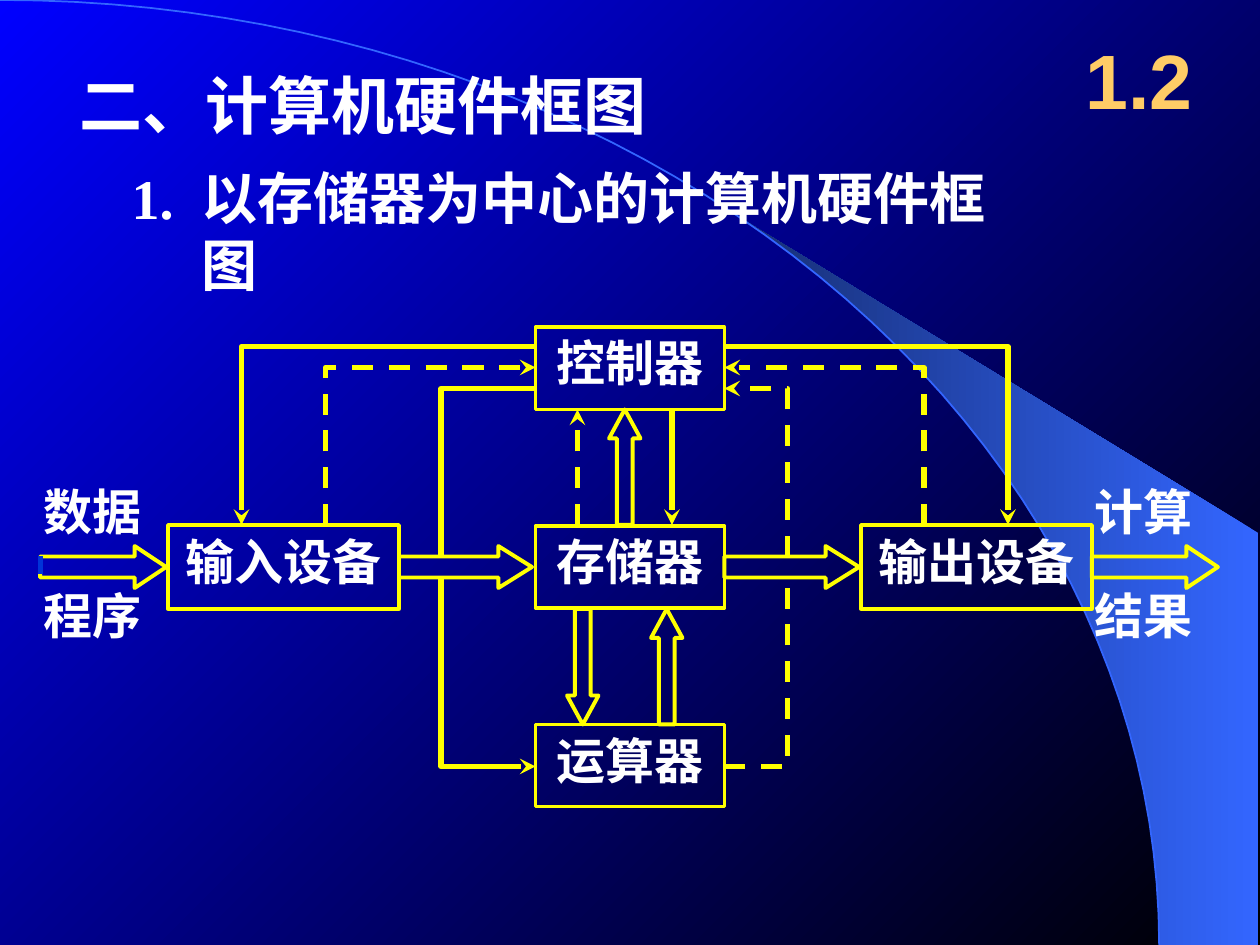
from dataclasses import dataclass
from math import asin, cos, pi, sin

from lxml import etree
from pptx import Presentation
from pptx.dml.color import RGBColor
from pptx.enum import dml, shapes, text
from pptx.oxml import ns
from pptx.util import Pt


@dataclass(frozen=True)
class Theme:
    white: str = "FFFFFF"
    gold: str = "FFCC66"
    wire: str = "FFFF00"
    glow: str = "3366FF"
    glow_dark: str = "172F75"
    tick: str = "0033D8"
    sky_dark: str = "000000"
    sky: str = "0000FF"
    hei: str = "Noto Sans CJK SC"
    serif: str = "Times New Roman"
    sans: str = "Arial"
    title_size: int = 36
    heading_size: int = 32
    label_size: int = 28
    number_size: int = 44


THEME = Theme()
PAGE_WIDTH, PAGE_HEIGHT = 720, 540


def rgb(value):
    return RGBColor.from_string(value)


def write(shape, words, size=THEME.label_size, color=THEME.white, latin=THEME.hei,
          align=text.PP_ALIGN.CENTER, wrap=True, lift=0, hanging=None):
    """Set the one line of text in a shape; lift raises it, hanging is its tab indent."""
    frame = shape.text_frame
    frame.auto_size = text.MSO_AUTO_SIZE.NONE
    frame.word_wrap = wrap
    frame.vertical_anchor = text.MSO_ANCHOR.MIDDLE
    frame.margin_left = frame.margin_right = Pt(7.2)
    frame.margin_top, frame.margin_bottom = Pt(0), Pt(lift)
    para = frame.paragraphs[0]
    para.alignment = align
    para.space_before = Pt(0)
    if hanging:
        props = para._p.get_or_add_pPr()
        props.set("marL", str(Pt(hanging)))
        props.set("indent", str(-Pt(hanging)))
        etree.SubElement(props, ns.qn("a:buNone"))
    span = para.add_run()
    span.text = words
    font = span.font
    font.size, font.bold, font.name = Pt(size), True, latin
    font.color.rgb = rgb(color)
    etree.SubElement(span._r.get_or_add_rPr(), ns.qn("a:ea")).set("typeface", THEME.hei)


def place(shape, left, top, width, height):
    """Position a placeholder and bring it in front of the backdrop."""
    shape.left, shape.top = Pt(left), Pt(top)
    shape.width, shape.height = Pt(width), Pt(height)
    shape.element.getparent().append(shape.element)
    return shape


def add_label(page, left, top, width, height, words, **style):
    box = page.shapes.add_textbox(Pt(left), Pt(top), Pt(width), Pt(height))
    write(box, words, **style)


def add_outline(page, kind, left, top, width, height, weight=2.25):
    shape = page.shapes.add_shape(kind, Pt(left), Pt(top), Pt(width), Pt(height))
    shape.shadow.inherit = False
    shape.fill.background()
    shape.line.color.rgb = rgb(THEME.wire)
    shape.line.width = Pt(weight)
    return shape


def add_block_arrow(page, kind, box, head, rotation=0):
    arrow = add_outline(page, kind, *box)
    arrow.adjustments[0], arrow.adjustments[1] = 0.5, head
    arrow.rotation = rotation


def add_polygon(page, points, close):
    corners = [(Pt(x), Pt(y)) for x, y in points]
    builder = page.shapes.build_freeform(*corners[0], scale=1.0)
    builder.add_line_segments(corners[1:], close=close)
    shape = builder.convert_to_shape()
    shape.shadow.inherit = False
    return shape


def add_wire(page, points, color=THEME.wire, weight=3, dashed=False, arrow=False):
    if len(points) == 2:
        (x1, y1), (x2, y2) = points
        wire = page.shapes.add_connector(
            shapes.MSO_CONNECTOR.STRAIGHT, Pt(x1), Pt(y1), Pt(x2), Pt(y2))
    else:
        wire = add_polygon(page, points, close=False)
        wire.fill.background()
    wire.line.color.rgb = rgb(color)
    wire.line.width = Pt(weight)
    if dashed:
        wire.line.dash_style = dml.MSO_LINE.DASH
    props = wire.element.spPr
    if arrow:
        etree.SubElement(props.find(ns.qn("a:ln")), ns.qn("a:tailEnd")).set("type", "stealth")
    if len(points) == 2:
        etree.SubElement(props, ns.qn("a:effectLst"))


def paint_gradient(fill, start, end, angle):
    fill.gradient()
    fill.gradient_angle = angle
    for stop, color, position in zip(fill.gradient_stops, (start, end), (0, 1)):
        stop.color.rgb = rgb(color)
        stop.position = position


def draw_backdrop(page, width, height):
    """Blue sky, a quarter-ellipse horizon and the lit fan to its right."""
    paint_gradient(page.background.fill, THEME.sky_dark, THEME.sky, 135)
    reach = 662.4

    def horizon(first, steps=48):
        turns = [first + (pi / 2 - first) * i / steps for i in range(steps + 1)]
        return [(reach * sin(t), height * (1 - cos(t))) for t in turns]

    edge = horizon(asin(424 / reach))
    fan = add_polygon(page, edge + [(width - 1, height), (width - 1, 304.6)], close=True)
    paint_gradient(fan.fill, THEME.glow, THEME.glow_dark, 180)
    fan.line.fill.background()
    add_wire(page, horizon(0), color=THEME.glow, weight=1)


def draw_headings(page):
    title, body = page.placeholders
    left = text.PP_ALIGN.LEFT
    write(place(title, 38, 36, 508, 50), "二、计算机硬件框图",
          size=THEME.title_size, align=left, lift=3)
    add_label(page, 606, 12, 90, 66, "1.2", size=THEME.number_size,
              color=THEME.gold, latin=THEME.sans)
    write(place(body, 68, 109, 534, 46), "1.\t以存储器为中心的计算机硬件框图",
          size=THEME.heading_size, latin=THEME.serif, align=left, wrap=False, hanging=40)


def draw_diagram(page, left, top):
    """Memory-centred block diagram; all parts are relative to its corner."""
    def at(x, y, *size):
        return (left + x, top + y, *size)

    row = 113.5
    units = [("控制器", 288, 0, 108, 47), ("存储器", 288, row, 108, 47),
             ("运算器", 288, 2 * row, 108, 47),
             ("输入设备", 78, 113, 132, 48), ("输出设备", 474, 113, 132, 48)]
    for name, *box in units:
        unit = add_outline(page, shapes.MSO_SHAPE.RECTANGLE, *at(*box), weight=2)
        write(unit, name, lift=7)

    for x, width, head in [(5, 72, 0.75), (210, 76, 0.8), (396, 77, 0.8), (606, 72, 0.75)]:
        add_block_arrow(page, shapes.MSO_SHAPE.RIGHT_ARROW, at(x, 125, width, 24), head)
    for x, y, rotation in [(330, 47, 0), (354, 161, 0), (306, 161, 180)]:
        add_block_arrow(page, shapes.MSO_SHAPE.UP_ARROW, at(x, y, 18, 66), 0.92, rotation)

    solid, dashed = {"dashed": False}, {"dashed": True}
    wires = [
        ([(234, 131), (234, 35), (288, 35)], solid, False),
        ([(234, 143), (234, 251), (288, 251)], solid, True),
        ([(312, 113), (312, 47)], dashed, True),
        ([(366, 47), (366, 113)], solid, True),
        ([(396, 251), (432, 251), (432, 143)], dashed, False),
        ([(432, 131), (432, 35), (396, 35)], dashed, True),
        ([(168, 113), (168, 23), (288, 23)], dashed, True),
        ([(288, 11), (120, 11), (120, 113)], solid, True),
        ([(510, 113), (510, 23), (396, 23)], dashed, True),
        ([(396, 11), (558, 11), (558, 113)], solid, True),
    ]
    for points, style, arrow in wires:
        add_wire(page, [at(*point) for point in points], arrow=arrow, **style)
    add_wire(page, [at(5, 131), at(5, 141)], color=THEME.tick)

    for x, words in [(0, ("数据", "程序")), (600.5, ("计算", "结果"))]:
        for y, word in zip((84.5, 144), words):
            add_label(page, *at(x, y, 70, 41), word, wrap=False)


def main():
    deck = Presentation()
    deck.slide_width, deck.slide_height = Pt(PAGE_WIDTH), Pt(PAGE_HEIGHT)
    page = deck.slides.add_slide(deck.slide_layouts[1])
    draw_backdrop(page, PAGE_WIDTH, PAGE_HEIGHT)
    draw_headings(page)
    draw_diagram(page, 18, 187)
    deck.save("out.pptx")


if __name__ == "__main__":
    main()
